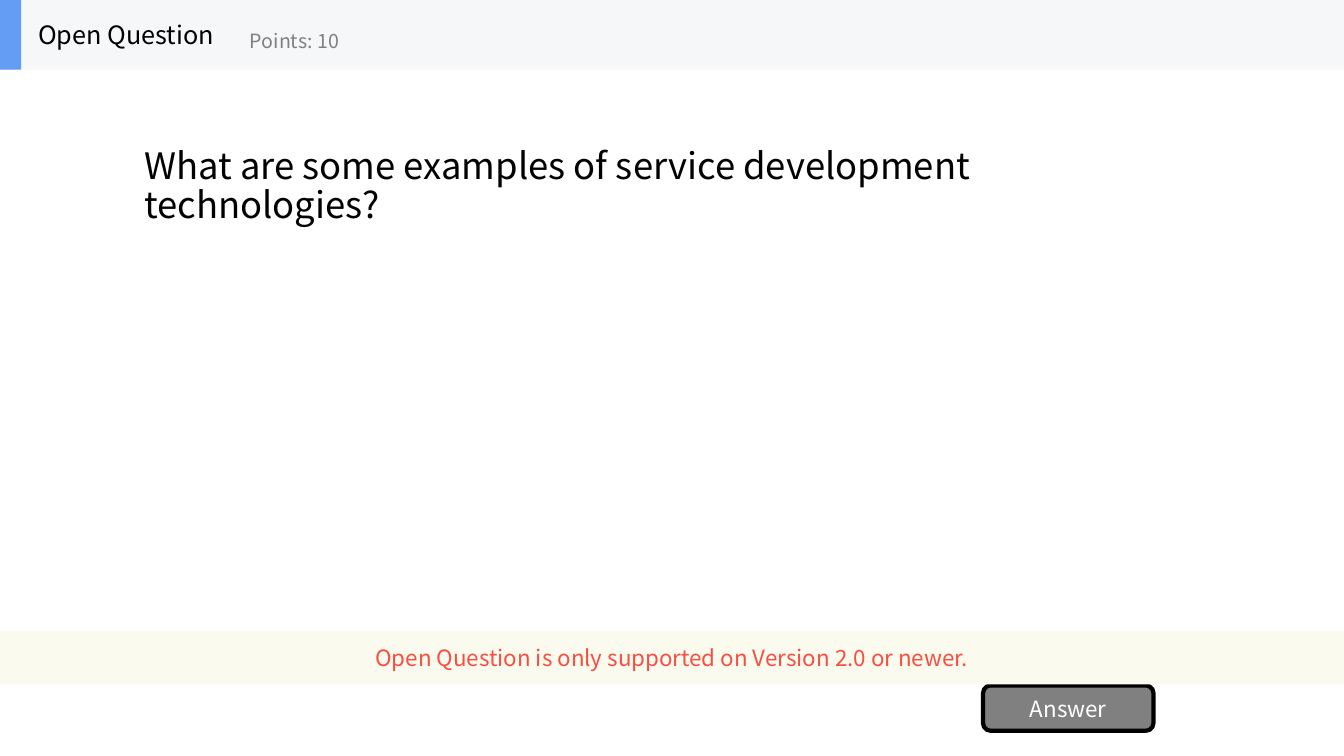
import pptx
import pptx.util
import pptx.dml.color
import pptx.enum.shapes
import pptx.enum.text

Inches = pptx.util.Inches
RGBColor = pptx.dml.color.RGBColor
SHAPE = pptx.enum.shapes.MSO_SHAPE
ALIGN = pptx.enum.text.PP_ALIGN

FONT = "Noto Sans CJK SC"
BLACK = RGBColor(0x00, 0x00, 0x00)
WHITE = RGBColor(0xFF, 0xFF, 0xFF)
GRAY = RGBColor(0x80, 0x80, 0x80)
CREAM = RGBColor(0xFB, 0xFA, 0xEF)
RED = RGBColor(0xF8, 0x4F, 0x41)
PALE = RGBColor(0xF6, 0xF7, 0xF8)
BLUE = RGBColor(0x63, 0x9E, 0xF4)

WIDTH, HEIGHT = 13.33, 7.5
HEADER = 0.69

QUESTION = "What are some examples of service development technologies?"
ANSWER = "Answer"
NOTICE = "Open Question is only supported on Version 2.0 or newer."
# text, left, top, width, height, size, colour
HEADER_LABELS = [
    ("Open Question", 0.28, 0, 2.08, HEADER, 18, BLACK),
    ("Points: 10", 2.38, 0.12, 2.5, 0.56, 14, GRAY),
]


def write(shape, text, size, color, align=ALIGN.LEFT):
    """Put one vertically centred paragraph in a shape and return it."""
    frame = shape.text_frame
    frame.word_wrap = True
    frame.vertical_anchor = pptx.enum.text.MSO_ANCHOR.MIDDLE
    para = frame.paragraphs[0]
    para.text = text
    para.alignment = align
    para.font.name = FONT
    para.font.size = pptx.util.Pt(size)
    para.font.color.rgb = color
    return para


def add_block(shapes, left, top, width, height, fill, kind=SHAPE.RECTANGLE):
    """Add a flat filled shape without an outline."""
    block = shapes.add_shape(kind, Inches(left), Inches(top),
                             Inches(width), Inches(height))
    block.shadow.inherit = False
    block.fill.solid()
    block.fill.fore_color.rgb = fill
    block.line.fill.background()
    return block


deck = pptx.Presentation()
deck.slide_width, deck.slide_height = Inches(WIDTH), Inches(HEIGHT)
page = deck.slides.add_slide(deck.slide_layouts[5])

title = page.shapes.title
title.left, title.top = Inches(1.33), Inches(HEADER)
title.width, title.height = Inches(10.67), Inches(2.34)
write(title, QUESTION, 26, BLACK).line_spacing = 0.9

button = add_block(page.shapes, 9.75, 6.8, 1.69, 0.45, GRAY,
                   SHAPE.ROUNDED_RECTANGLE)
button.line.color.rgb = BLACK
button.line.width = pptx.util.Pt(3)
write(button, ANSWER, 16, WHITE, ALIGN.CENTER)

notice = add_block(page.shapes, 0, 6.26, WIDTH, 0.53, CREAM)
write(notice, NOTICE, 16, RED, ALIGN.CENTER)

header = page.shapes.add_group_shape()
add_block(header.shapes, 0, 0, WIDTH, HEADER, PALE)
add_block(header.shapes, 0, 0, 0.21, HEADER, BLUE)
for text, left, top, width, height, size, color in HEADER_LABELS:
    label = header.shapes.add_textbox(Inches(left), Inches(top),
                                      Inches(width), Inches(height))
    write(label, text, size, color)

deck.save("out.pptx")
